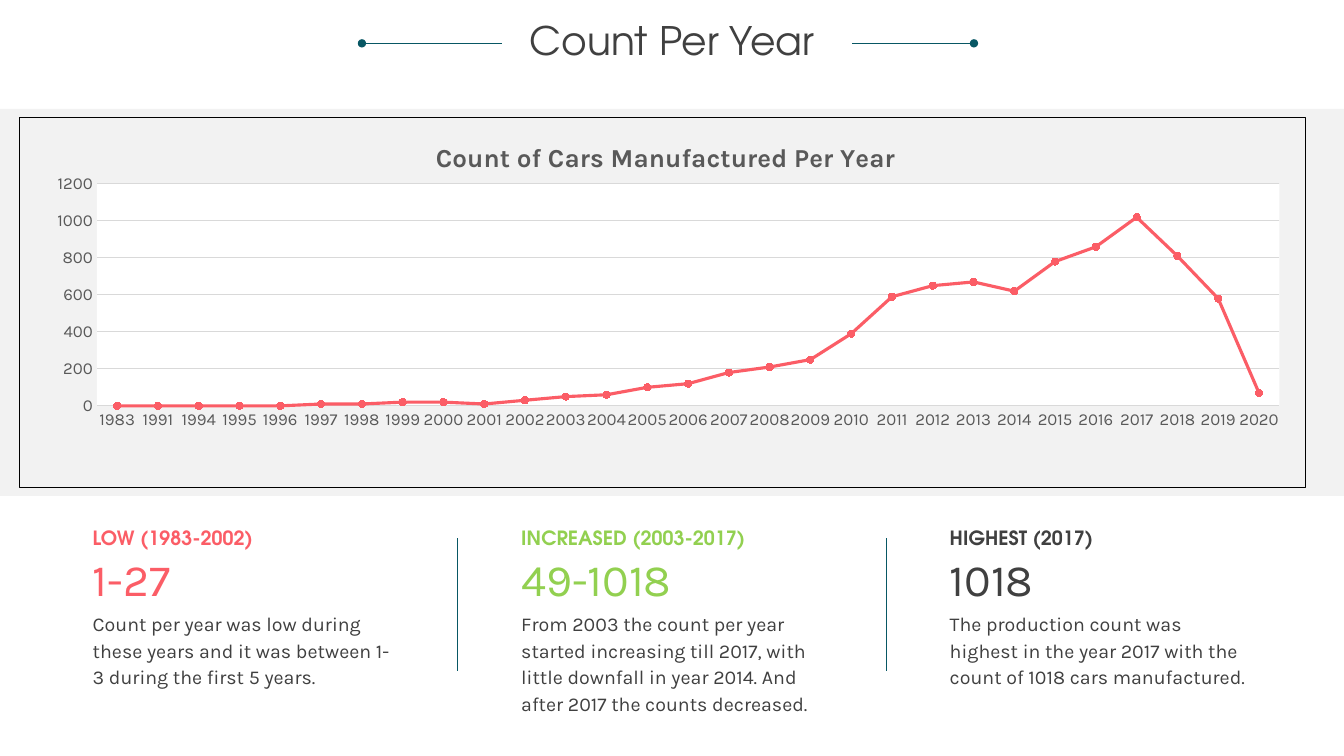
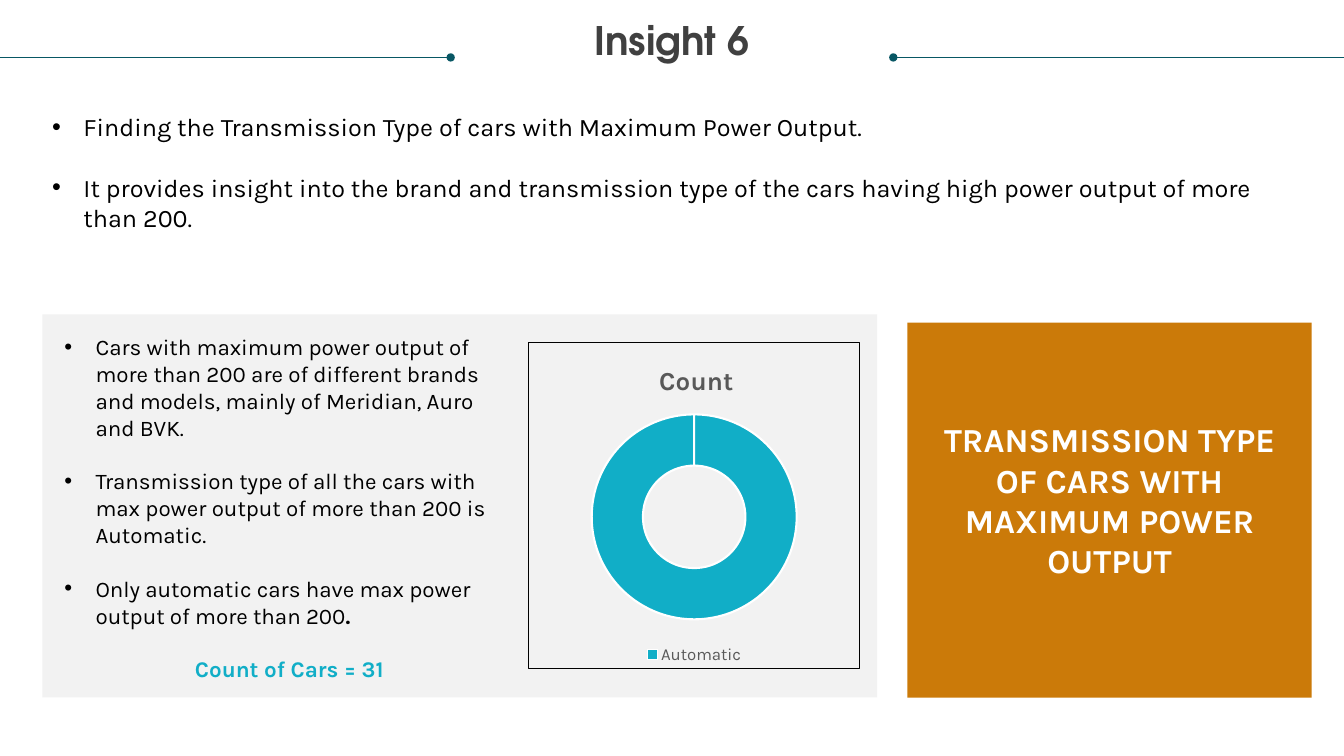
from dataclasses import dataclass

from lxml.etree import SubElement
from pptx import Presentation
from pptx.chart.data import CategoryChartData as Data
from pptx.dml.color import RGBColor as Rgb
from pptx.enum.chart import XL_CHART_TYPE as Kind
from pptx.enum.chart import XL_LEGEND_POSITION as Spot
from pptx.enum.chart import XL_MARKER_STYLE as Dot
from pptx.enum.chart import XL_TICK_MARK as Tick
from pptx.enum.shapes import MSO_CONNECTOR as Wire
from pptx.enum.shapes import MSO_SHAPE as Form
from pptx.enum.text import MSO_ANCHOR as Anchor
from pptx.enum.text import MSO_AUTO_SIZE as Fit
from pptx.enum.text import PP_ALIGN as Align
from pptx.oxml import parse_xml as to_xml
from pptx.oxml.ns import nsdecls, qn
from pptx.util import Pt

SCALE = 9144


def px(count):
    return count * SCALE


@dataclass(frozen=True)
class Theme:
    head: str = "TeX Gyre Adventor"
    body: str = "Karla"
    white: str = "FFFFFF"
    black: str = "000000"
    ink: str = "404040"
    label: str = "595959"
    grid: str = "D9D9D9"
    panel: str = "F2F2F2"
    rule: str = "085764"
    red: str = "FB5D66"
    green: str = "92D050"
    teal: str = "11AEC7"
    amber: str = "CB7A09"
    title: int = 28
    figure: int = 32
    banner: int = 24
    lead: int = 18
    item: int = 16
    note: int = 14
    small: int = 12
    chart: float = 18.6
    thin: float = 0.5
    edge: float = 0.75


class Deck:
    def __init__(self, theme):
        self.theme = theme
        self.show = Presentation()
        self.show.slide_width = px(1333)
        self.show.slide_height = px(750)
        self.slide = None

    def page(self, title, bold=False):
        self.slide = self.show.slides.add_slide(self.show.slide_layouts[5])
        shape = self.slide.shapes.title
        shape.left, shape.top, shape.width, shape.height = map(px, (25, 21, 1283, 42))
        frame = self.frame(shape, 0, 0)
        frame.vertical_anchor = Anchor.MIDDLE
        self.text(frame, [[(title, bold)]], self.theme.title, self.theme.ink,
                  face=self.theme.head, side=Align.CENTER, pitch=0.9)

    def frame(self, shape, wide, high):
        frame = shape.text_frame
        frame.word_wrap = True
        frame.auto_size = Fit.NONE
        frame.margin_left = frame.margin_right = px(wide)
        frame.margin_top = frame.margin_bottom = px(high)
        return frame

    def box(self, area, wide=0, high=0):
        shape = self.slide.shapes.add_textbox(*map(px, area))
        return self.frame(shape, wide, high)

    def panel(self, area, fill):
        shape = self.slide.shapes.add_shape(Form.RECTANGLE, *map(px, area))
        shape.shadow.inherit = False
        shape.fill.solid()
        shape.fill.fore_color.rgb = Rgb.from_string(fill)
        shape.line.fill.background()
        return shape

    def text(self, frame, rows, size, ink, face=None, side=Align.LEFT,
             pitch=None, gap=0, mark=False):
        for row in rows:
            para = frame.paragraphs[-1]
            if para.runs:
                para = frame.add_paragraph()
            para.alignment = side
            para.space_before = Pt(0)
            para.space_after = Pt(gap)
            if pitch:
                para.line_spacing = pitch
            if mark:
                self.mark(para)
            for words, bold in row:
                run = para.add_run()
                run.text = words
                self.style(run.font, size, ink, bold, face)

    def style(self, font, size, ink, bold=False, face=None):
        font.name = face or self.theme.body
        font.size = Pt(size)
        font.bold = bold
        font.color.rgb = Rgb.from_string(ink)

    def mark(self, para):
        props = para._p.get_or_add_pPr()
        props.set("marL", str(px(31)))
        props.set("indent", str(px(-31)))
        SubElement(props, qn("a:buFont")).set("typeface", "Arial")
        SubElement(props, qn("a:buChar")).set("char", "•")

    def rule(self, start, end, dot=False):
        line = self.slide.shapes.add_connector(Wire.STRAIGHT, *map(px, start + end))
        line.line.color.rgb = Rgb.from_string(self.theme.rule)
        line.line.width = Pt(self.theme.thin)
        props = line._element.spPr
        if dot:
            SubElement(props.find(qn("a:ln")), qn("a:headEnd")).set("type", "oval")
        SubElement(props, qn("a:effectLst"))

    def place(self, node, index, **parts):
        for old in node.findall(qn("c:layout")):
            node.remove(old)
        layout = to_xml(f"<c:layout {nsdecls('c')}><c:manualLayout/></c:layout>")
        if "w" in parts:
            SubElement(layout[0], qn("c:layoutTarget")).set("val", "inner")
        for key in "xy":
            SubElement(layout[0], qn(f"c:{key}Mode")).set("val", "edge")
        for key, val in parts.items():
            SubElement(layout[0], qn(f"c:{key}")).set("val", str(val))
        node.insert(index, layout)

    def chart(self, kind, area, title, names, vals, head, plot):
        look = self.theme
        data = Data()
        data.categories = names
        data.add_series("Series 1", vals)
        chart = self.slide.shapes.add_chart(kind, *map(px, area), data).chart
        self.style(chart.font, look.small, look.label)
        chart.has_legend = False
        chart.has_title = True
        run = chart.chart_title.text_frame.paragraphs[0].add_run()
        run.text = title
        self.style(run.font, look.chart, look.label, True)
        chart.chart_title.include_in_layout = False
        space = chart.element
        self.place(space.find(qn("c:chart")).find(qn("c:title")), 1, **head)
        self.place(space.find(qn("c:chart")).find(qn("c:plotArea")), 0, **plot)
        space.find(qn("c:chart")).addnext(to_xml(
            f"<c:spPr {nsdecls('c', 'a')}><a:noFill/>"
            f'<a:ln w="{Pt(look.edge)}"><a:solidFill><a:srgbClr val="{look.black}"/>'
            "</a:solidFill></a:ln></c:spPr>"))
        if space.find(qn("c:roundedCorners")) is None:
            rounded = to_xml(f'<c:roundedCorners {nsdecls("c")} val="0"/>')
            date = space.find(qn("c:date1904"))
            if date is None:
                space.insert(0, rounded)
            else:
                date.addnext(rounded)
        return chart

    def trend(self, area, title, names, vals, head, plot):
        look = self.theme
        chart = self.chart(Kind.LINE_MARKERS, area, title, names, vals, head, plot)
        chart.plots[0].vary_by_categories = False
        series = chart.plots[0].series[0]
        series.smooth = False
        red, grid = Rgb.from_string(look.red), Rgb.from_string(look.grid)
        series.format.line.color.rgb = red
        series.format.line.width = Pt(2.25)
        series.marker.style = Dot.CIRCLE
        series.marker.size = 5
        series.marker.format.fill.solid()
        series.marker.format.fill.fore_color.rgb = red
        series.marker.format.line.color.rgb = red
        years, count = chart.category_axis, chart.value_axis
        for axis in (years, count):
            axis.major_tick_mark = axis.minor_tick_mark = Tick.NONE
            self.style(axis.tick_labels.font, look.small, look.label)
        years.format.line.color.rgb = grid
        years.format.line.width = Pt(look.edge)
        for body in chart.element.xpath(".//c:catAx/c:txPr/a:bodyPr"):
            body.set("rot", "-60000000")
        count.minimum_scale, count.maximum_scale, count.major_unit = 0, 1200, 200
        count.format.line.fill.background()
        count.major_gridlines.format.line.color.rgb = grid
        count.major_gridlines.format.line.width = Pt(look.edge)
        chart.element.find(qn("c:chart")).find(qn("c:plotArea")).append(to_xml(
            f"<c:spPr {nsdecls('c', 'a')}><a:solidFill>"
            f'<a:srgbClr val="{look.white}"/></a:solidFill></c:spPr>'))

    def ring(self, area, title, names, vals, head, plot):
        look = self.theme
        chart = self.chart(Kind.DOUGHNUT, area, title, names, vals, head, plot)
        chart.plots[0].vary_by_categories = True
        form = chart.plots[0].series[0].points[0].format
        form.fill.solid()
        form.fill.fore_color.rgb = Rgb.from_string(look.teal)
        form.line.color.rgb = Rgb.from_string(look.white)
        form.line.width = Pt(1.5)
        chart.has_legend = True
        chart.legend.position = Spot.BOTTOM
        chart.legend.include_in_layout = False
        self.style(chart.legend.font, look.small, look.label)

    def card(self, left, name, value, note, ink):
        look = self.theme
        self.text(self.box((left, 519, 300, 24)), [[(name, True)]], look.note, ink,
                  face=look.head, pitch=Pt(19))
        self.text(self.box((left, 547, 300, 54)), [[(value, False)]], look.figure, ink)
        self.text(self.box((left, 604, 300, 104)), [[(note, False)]], look.note,
                  look.ink, pitch=Pt(19))


def years(deck):
    look = deck.theme
    deck.page("Count Per Year")
    deck.panel((0, 108, 1333, 384), look.panel)
    deck.rule((359, 43), (498, 43), True)
    deck.rule((966, 43), (845, 43), True)
    names = ["1983", "1991"] + [str(year) for year in range(1994, 2021)]
    vals = [0, 0, 0, 0, 0, 10, 10, 20, 20, 10, 30, 50, 60, 100, 120, 180, 210, 250,
            390, 590, 650, 670, 620, 780, 860, 1020, 810, 580, 70]
    deck.trend((19, 116, 1276, 368), "Count of Cars Manufactured Per Year", names, vals,
               dict(x=0.32, y=0.05), dict(x=0.06, y=0.18, w=0.92, h=0.6))
    cards = [
        ("LOW (1983-2002)", "1-27", "Count per year was low during these years and "
         "it was between 1-3 during the first 5 years.", look.red),
        ("INCREASED (2003-2017)", "49-1018", "From 2003 the count per year started "
         "increasing till 2017, with little downfall in year 2014. And after 2017 "
         "the counts decreased.", look.green),
        ("HIGHEST (2017)", "1018", "The production count was highest in the year 2017 "
         "with the count of 1018 cars manufactured.", look.ink),
    ]
    for index, card in enumerate(cards):
        left = 92 + 425 * index
        deck.card(left, *card)
        if index < len(cards) - 1:
            deck.rule((left + 362, 534), (left + 362, 666))


def power(deck):
    look = deck.theme
    deck.page("Insight 6", True)
    deck.rule((886, 57), (1333, 57), True)
    deck.rule((447, 57), (0, 57), True)
    deck.text(deck.box((42, 106, 1266, 131), 10, 5), [
        [("Finding the Transmission Type of cars with Maximum Power Output.", False)],
        [("It provides insight into the brand and transmission type of the cars having "
          "high power output of more than 200.", False)],
    ], look.lead, look.black, gap=21.5, mark=True)
    deck.panel((42, 312, 828, 380), look.panel)
    deck.ring((524, 339, 329, 325), "Count", ["Automatic"], [100],
              dict(x=0.38, y=0.05), dict(x=0.19, y=0.22, w=0.62, h=0.63))
    notes = deck.box((54, 326, 466, 360), 10, 5)
    deck.text(notes, [
        [("Cars with maximum power output of more than 200 are of different brands and "
          "models, mainly of Meridian, Auro and BVK.", False)],
        [("Transmission type of all the cars with max power output of more than 200 is "
          "Automatic.", False)],
        [("Only automatic cars have max power output of more than 200", False),
         (".", True)],
    ], look.item, look.black, gap=19, mark=True)
    deck.text(notes, [[("Count of Cars = 31", True)]], look.item, look.teal,
              side=Align.CENTER)
    banner = deck.frame(deck.panel((900, 320, 401, 372), look.amber), 10, 5)
    banner.vertical_anchor = Anchor.MIDDLE
    banner.margin_bottom = px(25)
    rows = ["TRANSMISSION TYPE", "OF CARS WITH", "MAXIMUM POWER OUTPUT"]
    deck.text(banner, [[(row, True)] for row in rows], look.banner, look.white,
              side=Align.CENTER)


def main():
    deck = Deck(Theme())
    years(deck)
    power(deck)
    deck.show.save("out.pptx")


if __name__ == "__main__":
    main()
